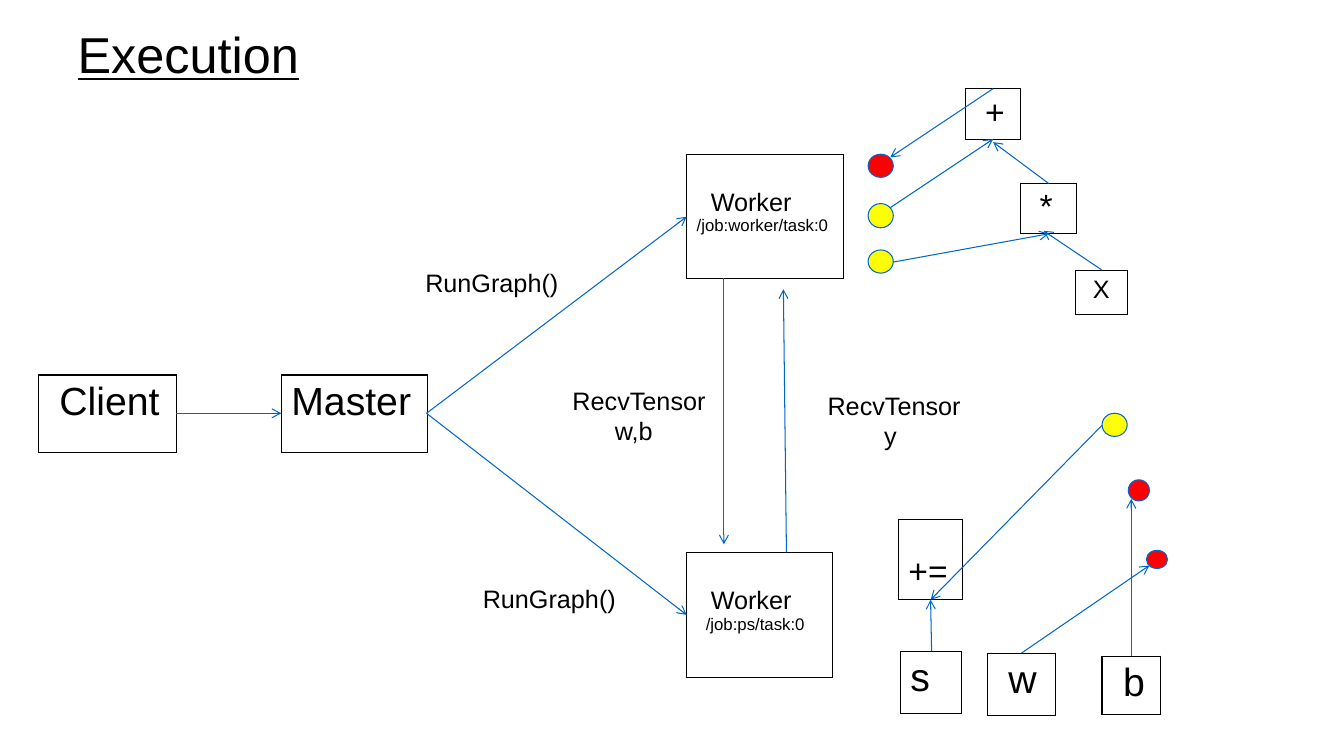
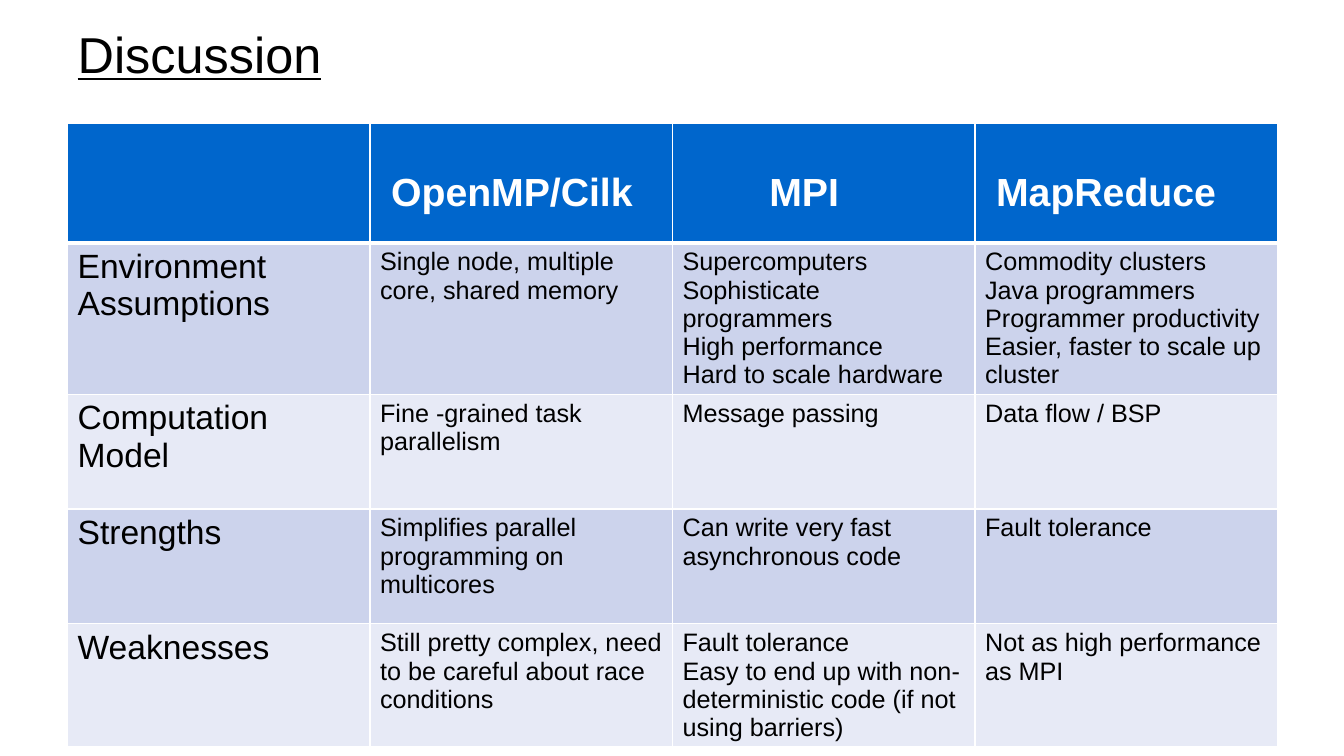
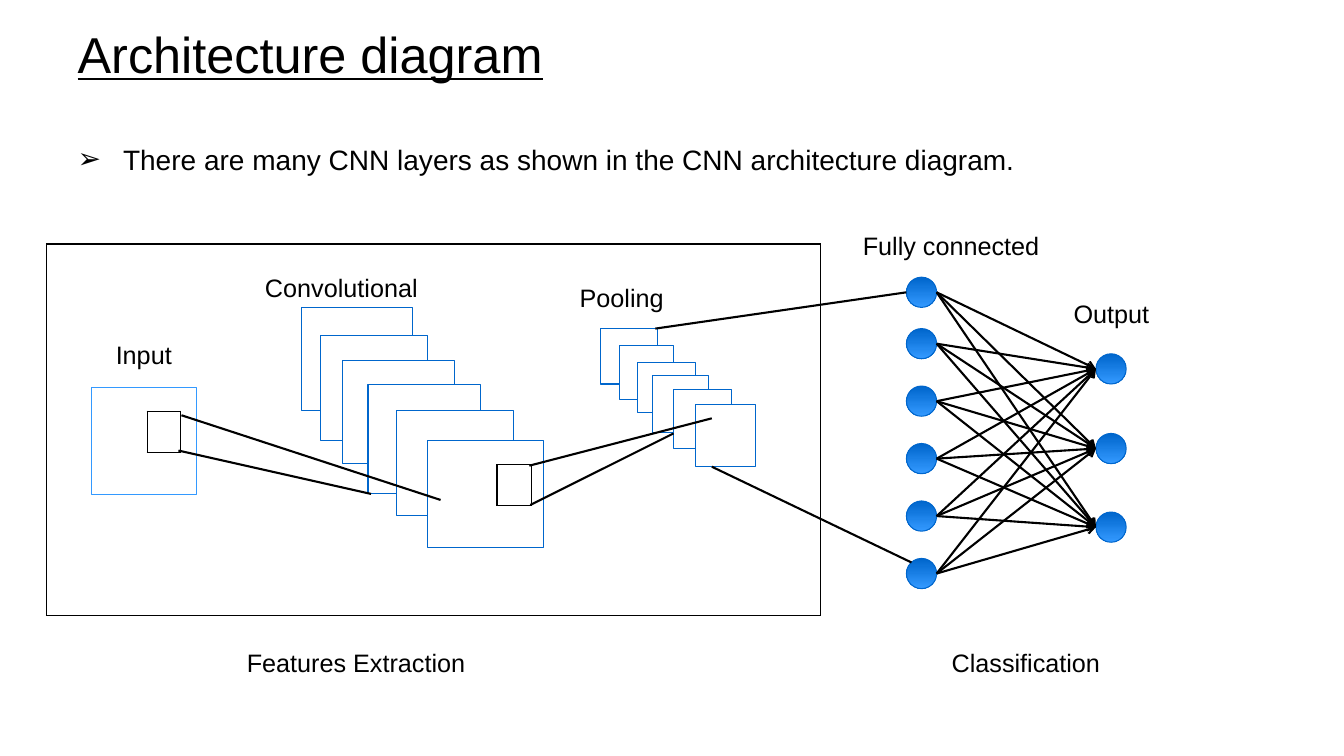
from itertools import product

from lxml.etree import SubElement
from pptx import Presentation
from pptx.dml.color import RGBColor as RGB
from pptx.enum.shapes import MSO_CONNECTOR as CONN, MSO_SHAPE as SHAPE
from pptx.enum.text import MSO_ANCHOR as ANCHOR, MSO_AUTO_SIZE as AUTO, PP_ALIGN as ALIGN
from pptx.oxml.ns import qn
from pptx.util import Pt

PX = 9144
FONT = "Arial"
C = {
    "black": "000000", "white": "FFFFFF", "blue": "0066CC", "sky": "3399FF",
    "red": "FF0000", "yellow": "FFFF00", "band": "CCD3EC", "pale": "E7EAF6",
}


def write(tf, paras, color="black", bold=False):
    for i, (text, size, indent) in enumerate(paras):
        p = tf.add_paragraph() if i else tf.paragraphs[0]
        p.alignment = ALIGN.LEFT
        pPr = p._p.get_or_add_pPr()
        pPr.set("marL", str(indent * PX))
        pPr.set("indent", "0")
        r = p.add_run()
        r.text = text
        r.font.name = FONT
        r.font.size = Pt(size)
        r.font.bold = bold
        r.font.color.rgb = RGB.from_string(C[color])


def add_grid(s, box, heights, n_cols, color):
    x, y, w, h = [v * PX for v in box]
    tbl = s.shapes.add_table(len(heights), n_cols, x, y, w, h).table
    tbl.first_row = tbl.horz_banding = False
    for i, height in enumerate(heights):
        tbl.rows[i].height = height * PX
        for cell in tbl.rows[i].cells:
            tcPr = cell._tc.get_or_add_tcPr()
            for side in ("L", "R", "T", "B"):
                thick = len(heights) > 1 and (side, i) in (("B", 0), ("T", 1))
                ln = SubElement(tcPr, qn("a:ln" + side), w=str(Pt(3 if thick else 1)))
                fill = SubElement(ln, qn("a:solidFill"))
                SubElement(fill, qn("a:srgbClr"), val=C[color])
            cell.fill.background()
    return tbl


prs = Presentation()
prs.slide_width = 1333 * PX
prs.slide_height = 750 * PX

slides = []
for title, layout in [("Execution", 5), ("Discussion", 5), ("Architecture diagram", 1)]:
    s = prs.slides.add_slide(prs.slide_layouts[layout])
    sp = s.shapes.title
    sp.left, sp.top, sp.width, sp.height = [v * PX for v in (67, 21, 1200, 64)]
    tf = sp.text_frame
    tf.auto_size = AUTO.NONE
    tf.vertical_anchor = ANCHOR.MIDDLE
    write(tf, [(title, 36, 0)])
    tf.paragraphs[0].runs[0].font.underline = True
    slides.append(s)
execution, discussion, architecture = slides

body = architecture.placeholders[1]
body.left, body.top, body.width, body.height = [v * PX for v in (67, 136, 1200, 542)]
tf = body.text_frame
tf.auto_size = AUTO.NONE
write(tf, [("There are many CNN layers as shown in the CNN architecture diagram.", 20, 45)])
pPr = tf.paragraphs[0]._p.get_or_add_pPr()
pPr.set("indent", str(-45 * PX))
SubElement(pPr, qn("a:buFont"), typeface=FONT)
SubElement(pPr, qn("a:buChar"), char="➢")

feature_maps = [
    (299, 305, 110, 102), (318, 333, 106, 104), (340, 358, 111, 102),
    (365, 381, 112, 109), (393, 407, 116, 104), (424, 437, 115, 106),
    (596, 326, 56, 55), (614, 343, 54, 53), (632, 360, 58, 49),
    (647, 373, 56, 56), (668, 386, 58, 59), (690, 401, 59, 62),
]
hidden_tops = [275] + [326 + 57 * i for i in range(5)]
output_tops = [351, 430, 508]
neurons = [(899, y, 30, 30) for y in hidden_tops] + [(1087, y, 30, 30) for y in output_tops]

shape_groups = [
    (execution, SHAPE.OVAL, ["red"], "blue",
     [(861, 153, 25, 23), (1119, 476, 21, 21), (1137, 546, 21, 18)]),
    (execution, SHAPE.OVAL, ["yellow"], "blue",
     [(861, 202, 25, 24), (861, 248, 25, 23), (1093, 410, 25, 23)]),
    (architecture, SHAPE.RECTANGLE, ["white"], "blue", feature_maps),
    (architecture, SHAPE.RECTANGLE, ["white"], "sky", [(91, 384, 104, 107)]),
    (architecture, SHAPE.OVAL, ["blue", "sky"], "blue", neurons),
]
for s, kind, fills, line, boxes in shape_groups:
    for box in boxes:
        sp = s.shapes.add_shape(kind, *[v * PX for v in box])
        sp.shadow.inherit = False
        sp.line.color.rgb = RGB.from_string(C[line])
        sp.line.width = Pt(0.75)
        if len(fills) == 1:
            sp.fill.solid()
            sp.fill.fore_color.rgb = RGB.from_string(C[fills[0]])
        else:
            sp.fill.gradient()
            sp.fill.gradient_angle = 270
            for stop, fill in zip(sp.fill.gradient_stops, fills):
                stop.color.rgb = RGB.from_string(C[fill])

framed_boxes = [
    (execution, (38, 372, 137, 77), 5, [("Client", 28, 11)]),
    (execution, (279, 372, 145, 77), 5, [("Master", 28, 0)]),
    (execution, (681, 153, 156, 123), 34, [("Worker", 18, 14), ("/job:worker/task:0", 12, 0)]),
    (execution, (681, 548, 145, 124), 34, [("Worker", 18, 14), ("/job:ps/task:0", 12, 9)]),
    (execution, (958, 88, 54, 50), 5, [("+", 24, 9)]),
    (execution, (1012, 182, 56, 50), 5, [("*", 24, 9)]),
    (execution, (1067, 268, 51, 44), 5, [("X", 18, 7)]),
    (execution, (891, 515, 64, 80), 34, [("+=", 24, 0)]),
    (execution, (893, 646, 61, 62), 5, [("s", 28, 0)]),
    (execution, (979, 648, 68, 62), 5, [("w", 28, 11)]),
    (execution, (1093, 651, 58, 58), 5, [("b", 28, 11)]),
    (architecture, (46, 242, 768, 369), 5, []),
    (architecture, (493, 461, 34, 40), 5, []),
    (architecture, (146, 408, 33, 40), 5, []),
]
for s, box, top, paras in framed_boxes:
    cell = add_grid(s, box, [box[3]], 1, "black").cell(0, 0)
    cell.margin_top = top * PX
    write(cell.text_frame, paras)

calls = [
    (175, 410, 279, 410), (423, 410, 681, 215), (423, 410, 681, 610),
    (718, 276, 718, 540), (780, 548, 777, 287),
    (985, 88, 883, 156), (883, 206, 985, 138), (1040, 182, 985, 141),
    (886, 260, 1040, 232), (1093, 268, 1035, 229),
    (1093, 422, 923, 595), (924, 646, 923, 595), (1013, 648, 1140, 561),
    (1122, 651, 1122, 495),
]
weights = [(929, a + 15, 1087, b + 15) for a, b in product(hidden_tops, output_tops)]
projections = [
    (180, 412, 437, 496), (177, 447, 368, 490), (525, 462, 706, 415),
    (526, 501, 668, 430), (904, 558, 706, 463), (899, 290, 650, 326),
]
line_groups = [
    (execution, "blue", 0.75, True, calls),
    (architecture, "black", 1.5, True, weights),
    (architecture, "black", 1.5, False, projections),
]
for s, color, width, arrow, lines in line_groups:
    for ends in lines:
        cx = s.shapes.add_connector(CONN.STRAIGHT, *[v * PX for v in ends])
        cx.line.color.rgb = RGB.from_string(C[color])
        cx.line.width = Pt(width)
        if arrow:
            SubElement(cx.line._get_or_add_ln(), qn("a:tailEnd"), type="arrow")
        SubElement(cx._element.spPr, qn("a:effectLst"))

labels = [
    (execution, (412, 260, 177, 40), [("RunGraph()", 18, 0)]),
    (execution, (469, 574, 160, 40), [("RunGraph()", 18, 0)]),
    (execution, (558, 377, 160, 71), [("RecvTensor", 18, 0), ("w,b", 18, 42)]),
    (execution, (811, 382, 160, 71), [("RecvTensor", 18, 0), ("y", 18, 56)]),
    (architecture, (105, 332, 84, 40), [("Input", 18, 0)]),
    (architecture, (253, 265, 180, 40), [("Convolutional", 18, 0)]),
    (architecture, (565, 275, 112, 40), [("Pooling", 18, 0)]),
    (architecture, (235, 637, 246, 40), [("Features Extraction", 18, 0)]),
    (architecture, (846, 224, 204, 40), [("Fully connected", 18, 0)]),
    (architecture, (1055, 291, 104, 40), [("Output", 18, 0)]),
    (architecture, (934, 637, 176, 40), [("Classification", 18, 0)]),
]
for s, box, paras in labels:
    tf = s.shapes.add_textbox(*[v * PX for v in box]).text_frame
    tf.word_wrap = True
    tf.auto_size = AUTO.SHAPE_TO_FIT_TEXT
    write(tf, paras)

models = [("OpenMP/Cilk", 11), ("MPI", 86), ("MapReduce", 11)]
aspects = [
    ("Environment Assumptions",
     "Single node, multiple core, shared memory",
     "Supercomputers Sophisticate programmers\nHigh performance\nHard to scale hardware",
     "Commodity clusters\nJava programmers\nProgrammer productivity\n"
     "Easier, faster to scale up cluster"),
    ("Computation Model", "Fine -grained task parallelism", "Message passing",
     "Data flow / BSP"),
    ("Strengths", "Simplifies parallel programming on multicores",
     "Can write very fast asynchronous code", "Fault tolerance"),
    ("Weaknesses",
     "Still pretty complex, need to be careful about race conditions",
     "Fault tolerance\nEasy to end up with non-deterministic code (if not using barriers)",
     "Not as high performance as MPI"),
]
tbl = add_grid(discussion, (67, 122, 1200, 575), [119] + [114] * 4, 4, "white")
for i, row in enumerate(tbl.rows):
    for cell in row.cells:
        cell.fill.solid()
        cell.fill.fore_color.rgb = RGB.from_string(C["band" if i % 2 else "pale"] if i else C["blue"])
for j, (model, indent) in enumerate(models, 1):
    cell = tbl.cell(0, j)
    cell.margin_top = 48 * PX
    write(cell.text_frame, [(model, 28, indent)], "white", True)
for i, texts in enumerate(aspects, 1):
    for j, text in enumerate(texts):
        size = 18 if j else 24
        write(tbl.cell(i, j).text_frame, [(t, size, 0) for t in text.split("\n")])

prs.save("out.pptx")
